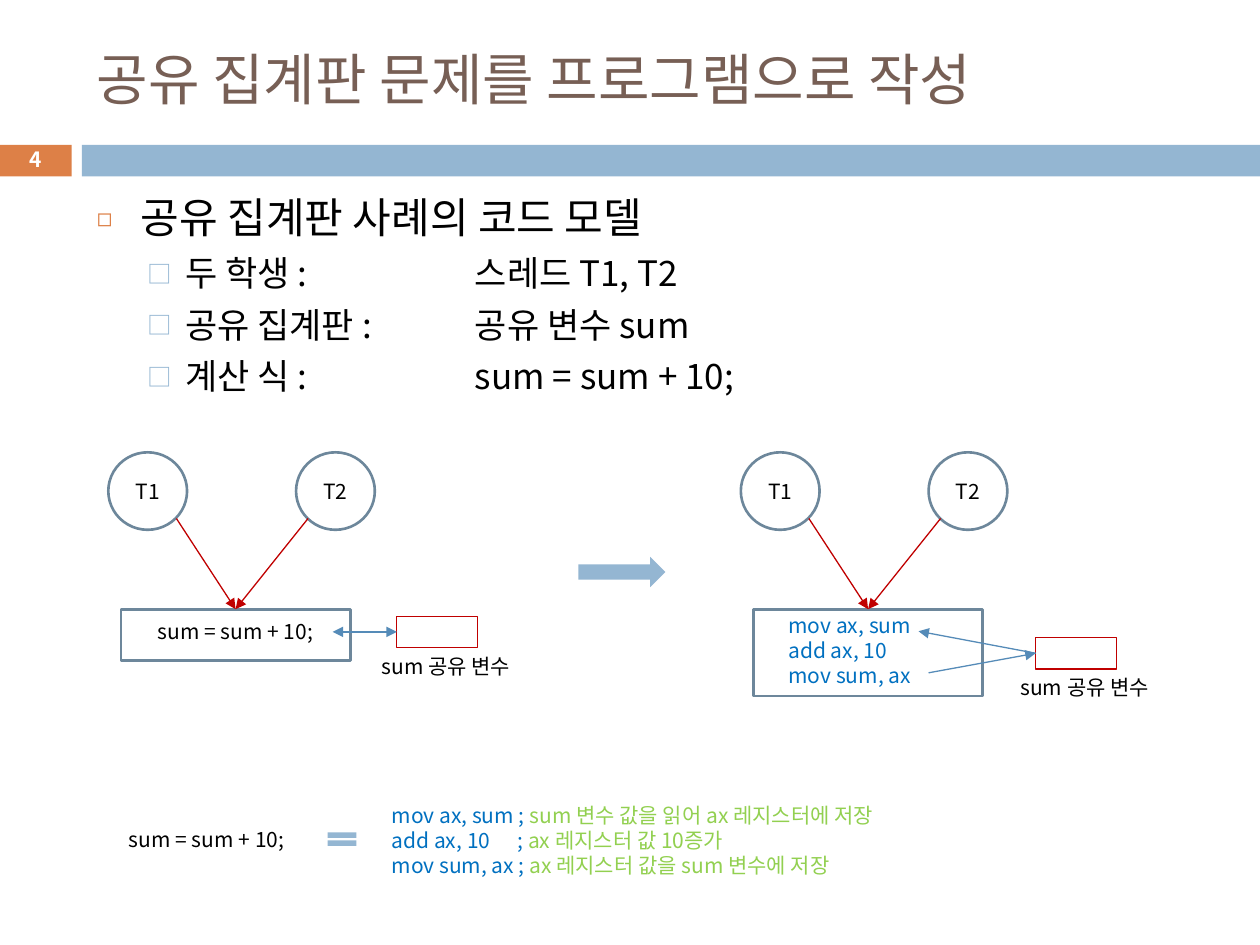
"""Build the slide that turns the shared tally board into a program."""
from dataclasses import dataclass

from lxml import etree
from pptx import Presentation
from pptx import util as u
from pptx.dml import color
from pptx.enum import shapes, text
from pptx.oxml import ns

COLS, ROWS = 100, 75
WIDE, HIGH = u.Inches(10), u.Inches(7.5)
MSO, PP = shapes.MSO_SHAPE, text.PP_ALIGN


@dataclass(frozen=True)
class Theme:
    font: str = "Noto Sans CJK KR"
    ink: str = "000000"
    white: str = "FFFFFF"
    brown: str = "775F55"
    orange: str = "DD8047"
    sky: str = "94B6D2"
    slate: str = "6D879B"
    red: str = "C00000"
    steel: str = "558BB8"
    code: str = "0070C0"
    note: str = "92D050"
    title: float = 32
    head: float = 24
    item: float = 20
    label: float = 12
    thin: float = 0.75
    thick: float = 1.5


@dataclass(frozen=True)
class Box:
    """An area in grid columns and rows."""
    x: float
    y: float
    w: float
    h: float


@dataclass(frozen=True)
class Level:
    """The bullet and indent of one outline level."""
    mark: str
    tint: str
    scale: int
    left: float
    hang: float
    size: float
    gap: float


T = Theme()
HEAD = Level("◻", T.orange, 60, 3.5, 3.5, T.head, 0)
ITEM = Level("□", T.sky, 70, 7, 3, T.item, 5.5)
OUTLINE = [
    (HEAD, "공유 집계판 사례의 코드 모델"),
    (ITEM, "두 학생 : \t스레드 T1, T2"),
    (ITEM, "공유 집계판 : \t공유 변수 sum"),
    (ITEM, "계산 식 : \tsum = sum + 10;"),
]
TAB = 30
SUM = "sum = sum + 10;"
CODE = ["mov ax, sum", "add ax, 10", "mov sum, ax"]
NOTED = [
    ("mov ax, sum ; ", "sum 변수 값을 읽어 ax 레지스터에 저장"),
    ("add ax, 10\t; ", "ax 레지스터 값 10증가"),
    ("mov sum, ax ; ", "ax 레지스터 값을 sum 변수에 저장"),
]


def across(cols: float) -> int:
    return round(WIDE * cols / COLS)


def down(rows: float) -> int:
    return round(HIGH * rows / ROWS)


def place(box: Box) -> tuple:
    return across(box.x), down(box.y), across(box.w), down(box.h)


def rgb(tint: str):
    return color.RGBColor.from_string(tint)


def style(par, size: float, tint: str, bold: bool = False) -> None:
    """Set the font of a whole paragraph, for Latin and Korean alike."""
    font = par.font
    font.size, font.name, font.bold = u.Pt(size), T.font, bold
    font.color.rgb = rgb(tint)
    base = par._p.pPr.find(ns.qn("a:defRPr"))
    etree.SubElement(base, ns.qn("a:ea"), typeface=T.font)


def fill_text(frame, lines: list, size: float, tint: str, align=PP.LEFT, bold: bool = False) -> None:
    """Write lines, each a string or a pair of code and note."""
    for i, line in enumerate(lines):
        par = frame.paragraphs[0] if i == 0 else frame.add_paragraph()
        par.alignment = align
        style(par, size, tint, bold)
        parts = (line,) if isinstance(line, str) else line
        for part, hue in zip(parts, (tint, T.note)):
            run = par.add_run()
            run.text = part
            if len(parts) > 1:
                run.font.color.rgb = rgb(hue)


def write(slide, box: Box, lines: list, size: float = T.label, tint: str = T.ink,
          align=PP.LEFT, wrap: bool = False, mid: bool = False, bold: bool = False) -> None:
    frame = slide.shapes.add_textbox(*place(box)).text_frame
    frame.word_wrap = wrap
    if mid:
        frame.vertical_anchor = text.MSO_ANCHOR.MIDDLE
    fill_text(frame, lines, size, tint, align, bold)


def draw(slide, kind, box: Box, fill: str = "", line: str = "", width: float = T.thick):
    """Draw a preset shape with a fill or an outline."""
    shape = slide.shapes.add_shape(kind, *place(box))
    shape.shadow.inherit = False
    if fill:
        shape.fill.solid()
        shape.fill.fore_color.rgb = rgb(fill)
    else:
        shape.fill.background()
    if line:
        shape.line.color.rgb = rgb(line)
        shape.line.width = u.Pt(width)
    else:
        shape.line.fill.background()
    return shape


def link(slide, start: tuple, end: tuple, tint: str, heads: tuple = ("tailEnd",)):
    """Draw a straight arrow."""
    line = slide.shapes.add_connector(
        shapes.MSO_CONNECTOR.STRAIGHT, across(start[0]), down(start[1]), across(end[0]), down(end[1]))
    line.line.color.rgb = rgb(tint)
    line.line.width = u.Pt(T.thin)
    for head in heads:
        etree.SubElement(line.line._get_or_add_ln(), ns.qn(f"a:{head}"), type="triangle")
    etree.SubElement(line._element.spPr, ns.qn("a:effectLst"))
    return line


def outline(slide, box: Box) -> None:
    """Write the bulleted list."""
    frame = slide.shapes.add_textbox(*place(box)).text_frame
    frame.word_wrap = True
    for i, (lev, words) in enumerate(OUTLINE):
        par = frame.paragraphs[0] if i == 0 else frame.add_paragraph()
        par.text, par.level, par.space_before = words, int(lev is ITEM), u.Pt(lev.gap)
        props = par._p.get_or_add_pPr()
        props.set("marL", str(across(lev.left)))
        props.set("indent", str(-across(lev.hang)))
        hue = etree.SubElement(props, ns.qn("a:buClr"))
        etree.SubElement(hue, ns.qn("a:srgbClr"), val=lev.tint)
        etree.SubElement(props, ns.qn("a:buSzPct"), val=str(lev.scale * 1000))
        etree.SubElement(props, ns.qn("a:buFont"), typeface=T.font)
        etree.SubElement(props, ns.qn("a:buChar"), char=lev.mark)
        if lev is ITEM:
            tabs = etree.SubElement(props, ns.qn("a:tabLst"))
            etree.SubElement(tabs, ns.qn("a:tab"), pos=str(across(TAB)), algn="l")
        style(par, lev.size, T.ink)


def model(slide, x: float, high: float, cell: Box):
    """Draw two threads that run one code box beside a shared variable."""
    code = draw(slide, MSO.RECTANGLE, Box(x + 1, 48.35, 18.2, high), line=T.slate)
    for name, left, foot in (("T1", x, x + 5.4), ("T2", x + 14.9, x + 15.85)):
        ring = draw(slide, MSO.OVAL, Box(left, 35.9, 6.25, 6.15), line=T.slate)
        frame = ring.text_frame
        frame.margin_left = frame.margin_right = frame.margin_top = frame.margin_bottom = 0
        fill_text(frame, [name], T.label, T.ink, PP.CENTER)
        link(slide, (foot, 41.15), (x + 10.1, 48.35), T.red).end_connect(code, 0)
    var = draw(slide, MSO.RECTANGLE, cell, line=T.red, width=T.thin)
    write(slide, Box(cell.x - 2.2, cell.y + 2.45, 13.1, 3), ["sum 공유 변수"])
    return var


def main() -> None:
    deck = Presentation()
    deck.slide_width, deck.slide_height = WIDE, HIGH
    slide = deck.slides.add_slide(deck.slide_layouts[6])
    draw(slide, MSO.RECTANGLE, Box(0, 11.5, 5.7, 2.5), T.orange)
    draw(slide, MSO.RECTANGLE, Box(6.5, 11.5, 93.5, 2.5), T.sky)
    write(slide, Box(6.7, 2.5, 89.2, 7.4), ["공유 집계판 문제를 프로그램으로 작성"],
          T.title, T.brown, wrap=True, mid=True)
    write(slide, Box(-0.1, 11.3, 5.8, 2.7), ["4"], T.label, T.white, PP.CENTER, True, True, True)
    outline(slide, Box(6.7, 14.7, 89.2, 55.1))

    var = model(slide, 8.6, 4.1, Box(31.5, 48.9, 6.4, 2.5))
    write(slide, Box(11, 48.6, 15.4, 3), [SUM], align=PP.CENTER)
    link(slide, (26.4, 50.15), (31.5, 50.15), T.steel, ("headEnd", "tailEnd")).end_connect(var, 1)

    var = model(slide, 58.8, 6.9, Box(82.2, 50.6, 6.4, 2.5))
    write(slide, Box(61.6, 48.1, 12.3, 7.1), CODE, tint=T.code)
    link(slide, (73.7, 53.4), (82.2, 51.85), T.steel).end_connect(var, 1)
    link(slide, (72.9, 50.1), (82.2, 51.85), T.steel, ("headEnd",)).end_connect(var, 1)

    draw(slide, MSO.RIGHT_ARROW, Box(45.9, 44.2, 6.9, 2.4), T.sky)
    write(slide, Box(8.7, 65.1, 15.4, 3), [SUM], align=PP.CENTER)
    draw(slide, MSO.MATH_EQUAL, Box(25.6, 65.7, 3.1, 1.8), T.sky)
    write(slide, Box(30.1, 63.2, 43.6, 7.1), NOTED, tint=T.code)
    deck.save("out.pptx")


if __name__ == "__main__":
    main()
